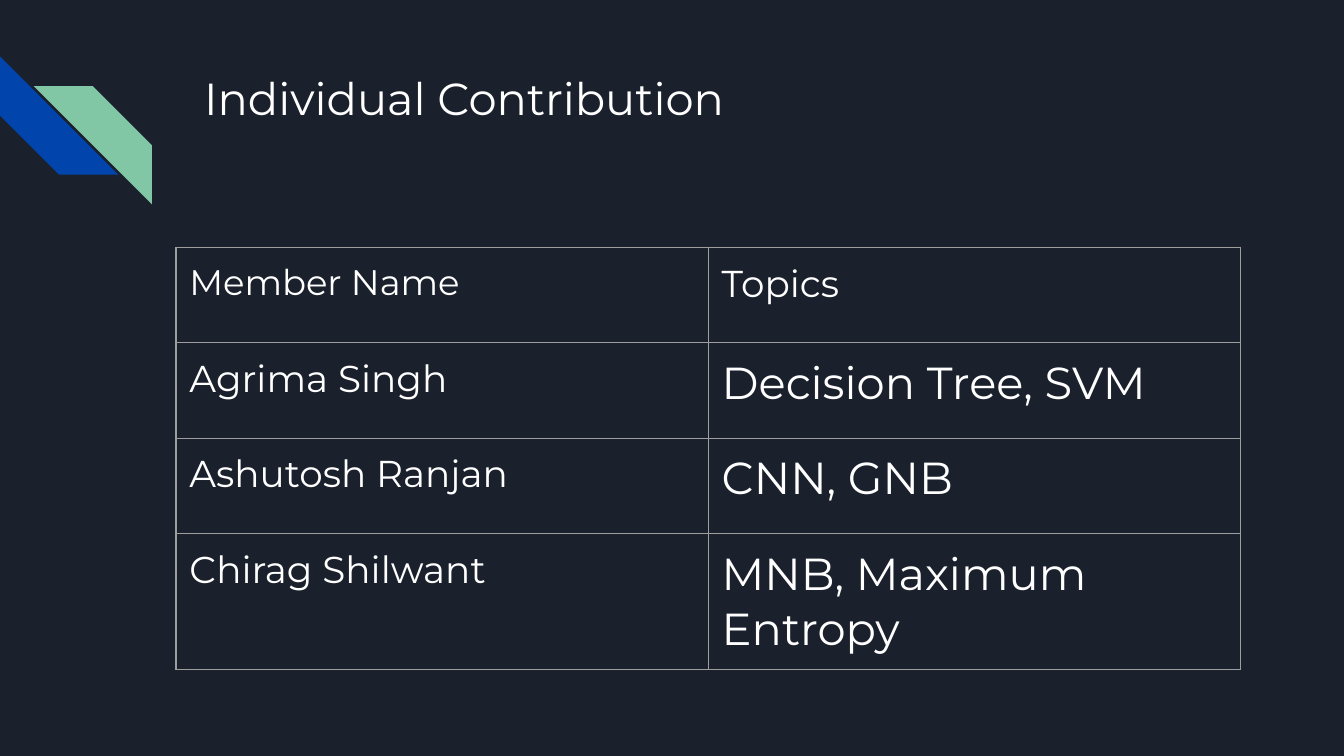
from lxml import etree
from pptx import Presentation
from pptx.dml.color import RGBColor
from pptx.enum import shapes, text
from pptx.oxml import ns
from pptx.util import Inches, Pt

FONT = "Montserrat"
NAVY = RGBColor(0x1B, 0x21, 0x2C)
BLUE = RGBColor(0x01, 0x45, 0xAC)
GREEN = RGBColor(0x82, 0xC7, 0xA5)
WHITE = RGBColor(0xFF, 0xFF, 0xFF)
GREY = RGBColor(0x9E, 0x9E, 0x9E)

# Each cell holds its words and their size in points.
CONTRIBUTIONS = [
    [("Member Name", 19), ("Topics", 20)],
    [("Agrima Singh", 20), ("Decision Tree, SVM", 24)],
    [("Ashutosh Ranjan", 20), ("CNN, GNB", 24)],
    [("Chirag Shilwant", 20), ("MNB, Maximum Entropy", 24)],
]
COLUMN_WIDTH = 3.96
ROW_HEIGHTS = [0.71, 0.71, 0.71, 1.01]


def write(holder, words, size=24, color=WHITE, inset=0.1):
    """Fill a text frame or table cell with one formatted paragraph."""
    for side in ("left", "top", "right", "bottom"):
        setattr(holder, f"margin_{side}", Inches(inset))
    frame = getattr(holder, "text_frame", holder)
    frame.word_wrap = True
    span = frame.paragraphs[0].add_run()
    span.text = words
    span.font.name = FONT
    span.font.size = Pt(size)
    span.font.color.rgb = color


def add_stripe(page, left, top, color, rotation):
    stripe = page.shapes.add_shape(
        shapes.MSO_SHAPE.DIAGONAL_STRIPE,
        Inches(left), Inches(top), Inches(0.88), Inches(0.88))
    stripe.rotation = rotation
    stripe.shadow.inherit = False
    stripe.fill.solid()
    stripe.fill.fore_color.rgb = color
    stripe.line.fill.background()


def add_title(page, words):
    box = page.shapes.add_textbox(
        Inches(1.42), Inches(0.43), Inches(7.7), Inches(1))
    box.text_frame.vertical_anchor = text.MSO_ANCHOR.TOP
    write(box.text_frame, words)


def add_borders(cell, color=GREY, width=0.75):
    properties = cell._tc.get_or_add_tcPr()
    for position, edge in enumerate(("a:lnL", "a:lnR", "a:lnT", "a:lnB")):
        line = etree.Element(ns.qn(edge), w=str(Pt(width)))
        fill = etree.SubElement(line, ns.qn("a:solidFill"))
        etree.SubElement(fill, ns.qn("a:srgbClr"), val=str(color))
        properties.insert(position, line)


def add_contribution_table(page, rows):
    columns = len(rows[0])
    table = page.shapes.add_table(
        len(rows), columns, Inches(1.31), Inches(1.84),
        Inches(COLUMN_WIDTH * columns), Inches(sum(ROW_HEIGHTS))).table
    table.first_row = False
    table.horz_banding = False
    for column in table.columns:
        column.width = Inches(COLUMN_WIDTH)
    for row, height, entries in zip(table.rows, ROW_HEIGHTS, rows):
        row.height = Inches(height)
        for cell, (words, size) in zip(row.cells, entries):
            write(cell, words, size=size)
            cell.fill.background()
            add_borders(cell)


def main():
    deck = Presentation()
    deck.slide_width = Inches(10)
    deck.slide_height = deck.slide_width * 9 // 16
    page = deck.slides.add_slide(deck.slide_layouts[6])
    page.background.fill.solid()
    page.background.fill.fore_color.rgb = NAVY

    add_stripe(page, 0, 0.42, BLUE, rotation=270)
    add_stripe(page, 0.25, 0.64, GREEN, rotation=90)
    add_title(page, "Individual Contribution")
    add_contribution_table(page, CONTRIBUTIONS)
    deck.save("out.pptx")


if __name__ == "__main__":
    main()
